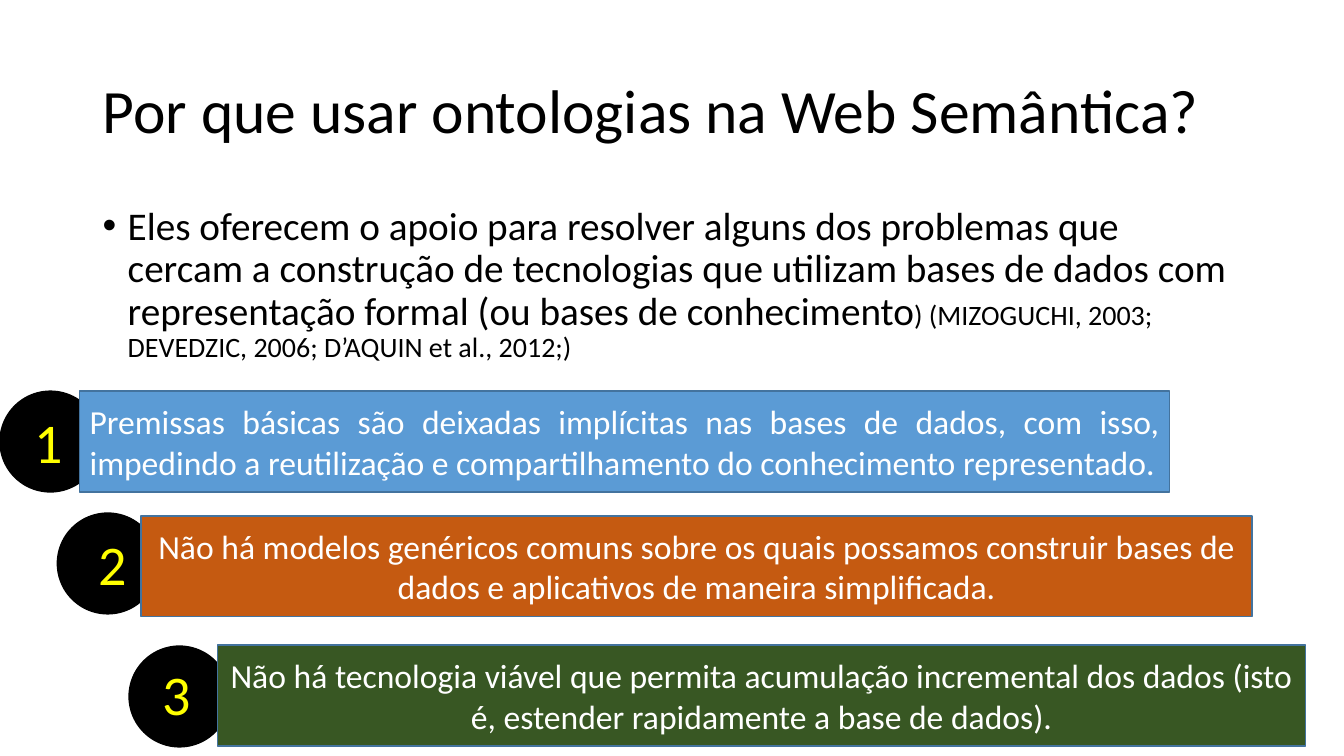
from dataclasses import dataclass

from lxml.etree import SubElement
from pptx import Presentation
from pptx.dml.color import RGBColor
from pptx.enum.shapes import MSO_SHAPE
from pptx.enum.text import MSO_ANCHOR, MSO_AUTO_SIZE, PP_ALIGN
from pptx.oxml.ns import qn
from pptx.util import Pt


@dataclass(frozen=True)
class Theme:
    face: str = "Calibri"
    black: str = "000000"
    white: str = "FFFFFF"
    yellow: str = "FFFF00"
    blue: str = "5B9BD5"
    orange: str = "C55A11"
    green: str = "385723"
    edge: str = "43739E"
    title: int = 44
    body: int = 28
    cite: int = 20
    bar: int = 24
    number: int = 40


THEME = Theme()
SIDE = 72

TITLE = "Por que usar ontologias na Web Semântica?"
CLAIM = (
    "Eles oferecem o apoio para resolver alguns dos problemas que cercam a "
    "construção de tecnologias que utilizam bases de dados com representação "
    "formal (ou bases de conhecimento"
)
CITE = ") (MIZOGUCHI, 2003; DEVEDZIC, 2006; D’AQUIN et al., 2012;)"

ITEMS = [
    (
        "Premissas básicas são deixadas implícitas nas bases de dados, com isso, "
        "impedindo a reutilização e compartilhamento do conhecimento representado.",
        THEME.blue, PP_ALIGN.JUSTIFY,
        (0, 279.4), (56.9, 279.4, 778.3), (17.3, 287.3),
    ),
    (
        "Não há modelos genéricos comuns sobre os quais possamos construir bases "
        "de dados e aplicativos de maneira simplificada.",
        THEME.orange, PP_ALIGN.CENTER,
        (41, 366.5), (100.8, 368.6, 793.4), (63.4, 374.4),
    ),
    (
        "Não há tecnologia viável que permita acumulação incremental dos dados "
        "(isto é, estender rapidamente a base de dados).",
        THEME.green, PP_ALIGN.CENTER,
        (92.2, 461.5), (155.5, 460.8, 776.9), (108.7, 467.3),
    ),
]


def style(run, size, color):
    run.font.name = THEME.face
    run.font.size = Pt(size)
    run.font.color.rgb = RGBColor.from_string(color)


def write(frame, text, size, color, align=PP_ALIGN.LEFT):
    frame.text = text
    para = frame.paragraphs[0]
    para.alignment = align
    style(para.runs[0], size, color)
    return para


def add_title(slide):
    title = slide.shapes.title
    title.left, title.top = Pt(66.2), Pt(28.8)
    title.width, title.height = Pt(828), Pt(104.4)
    frame = title.text_frame
    frame.auto_size = MSO_AUTO_SIZE.NONE
    frame.vertical_anchor = MSO_ANCHOR.MIDDLE
    write(frame, TITLE, THEME.title, THEME.black).line_spacing = 0.9


def add_body(slide):
    box = slide.shapes.add_textbox(Pt(66.2), Pt(144), Pt(828), Pt(342.7))
    frame = box.text_frame
    frame.word_wrap = True
    para = write(frame, CLAIM, THEME.body, THEME.black)
    para.line_spacing = 0.9
    props = para._p.get_or_add_pPr()
    props.set("marL", str(Pt(18)))
    props.set("indent", str(-Pt(18)))
    SubElement(props, qn("a:buFont")).set("typeface", "Arial")
    SubElement(props, qn("a:buChar")).set("char", "•")
    cite = para.add_run()
    cite.text = CITE
    style(cite, THEME.cite, THEME.black)


def add_block(slide, kind, left, top, width, fill, edge):
    block = slide.shapes.add_shape(kind, Pt(left), Pt(top), Pt(width), Pt(SIDE))
    block.shadow.inherit = False
    block.fill.solid()
    block.fill.fore_color.rgb = RGBColor.from_string(fill)
    block.line.color.rgb = RGBColor.from_string(edge)
    block.line.width = Pt(1)
    return block


def add_disc(slide, left, top):
    add_block(slide, MSO_SHAPE.OVAL, left, top, SIDE, THEME.black, THEME.black)


def add_bar(slide, text, fill, align, left, top, width):
    bar = add_block(slide, MSO_SHAPE.RECTANGLE, left, top, width, fill, THEME.edge)
    frame = bar.text_frame
    frame.word_wrap = True
    frame.vertical_anchor = MSO_ANCHOR.MIDDLE
    write(frame, text, THEME.bar, THEME.white, align)


def add_number(slide, number, left, top):
    box = slide.shapes.add_textbox(Pt(left), Pt(top), Pt(35.3), Pt(55.4))
    frame = box.text_frame
    frame.word_wrap = False
    frame.auto_size = MSO_AUTO_SIZE.SHAPE_TO_FIT_TEXT
    write(frame, str(number), THEME.number, THEME.yellow)


def main():
    deck = Presentation()
    deck.slide_width, deck.slide_height = Pt(960), Pt(540)
    slide = deck.slides.add_slide(deck.slide_layouts[5])
    add_title(slide)
    add_body(slide)
    for number, (text, fill, align, disc, bar, label) in enumerate(ITEMS, 1):
        add_disc(slide, *disc)
        add_bar(slide, text, fill, align, *bar)
        add_number(slide, number, *label)
    deck.save("out.pptx")


if __name__ == "__main__":
    main()
